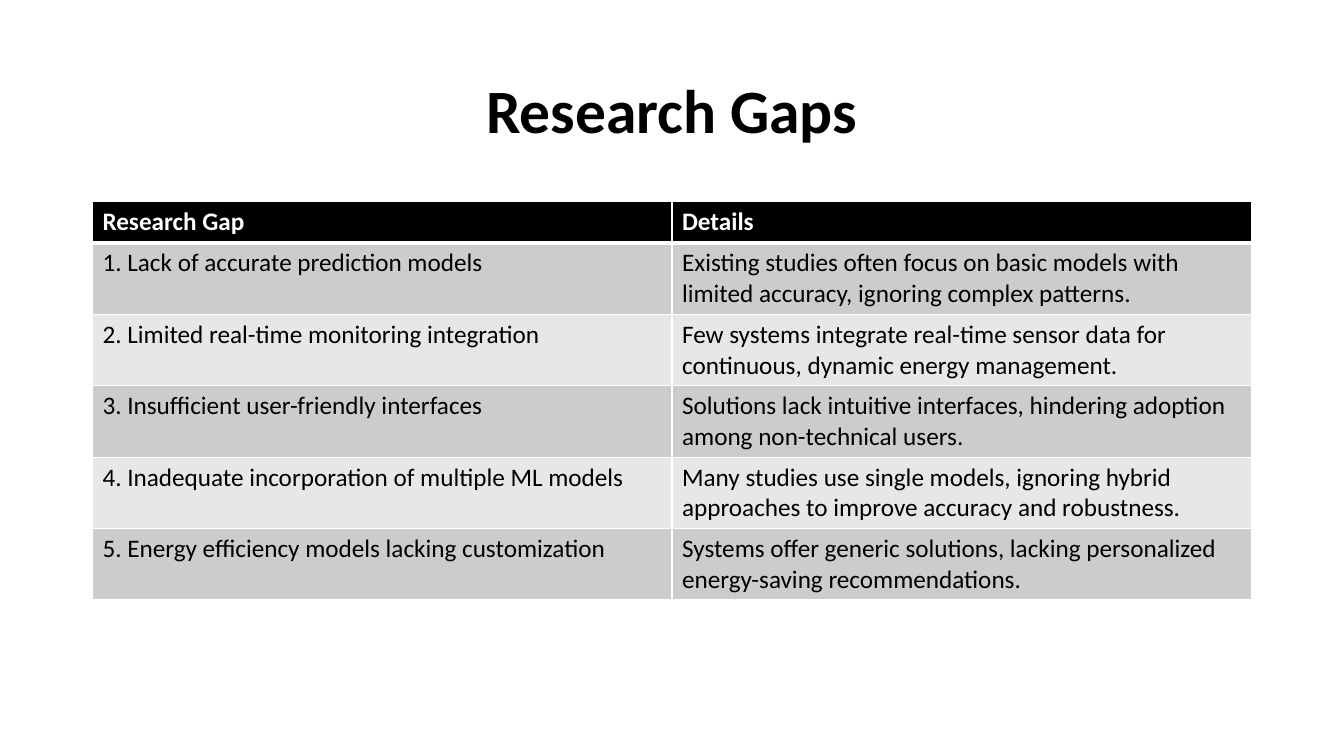
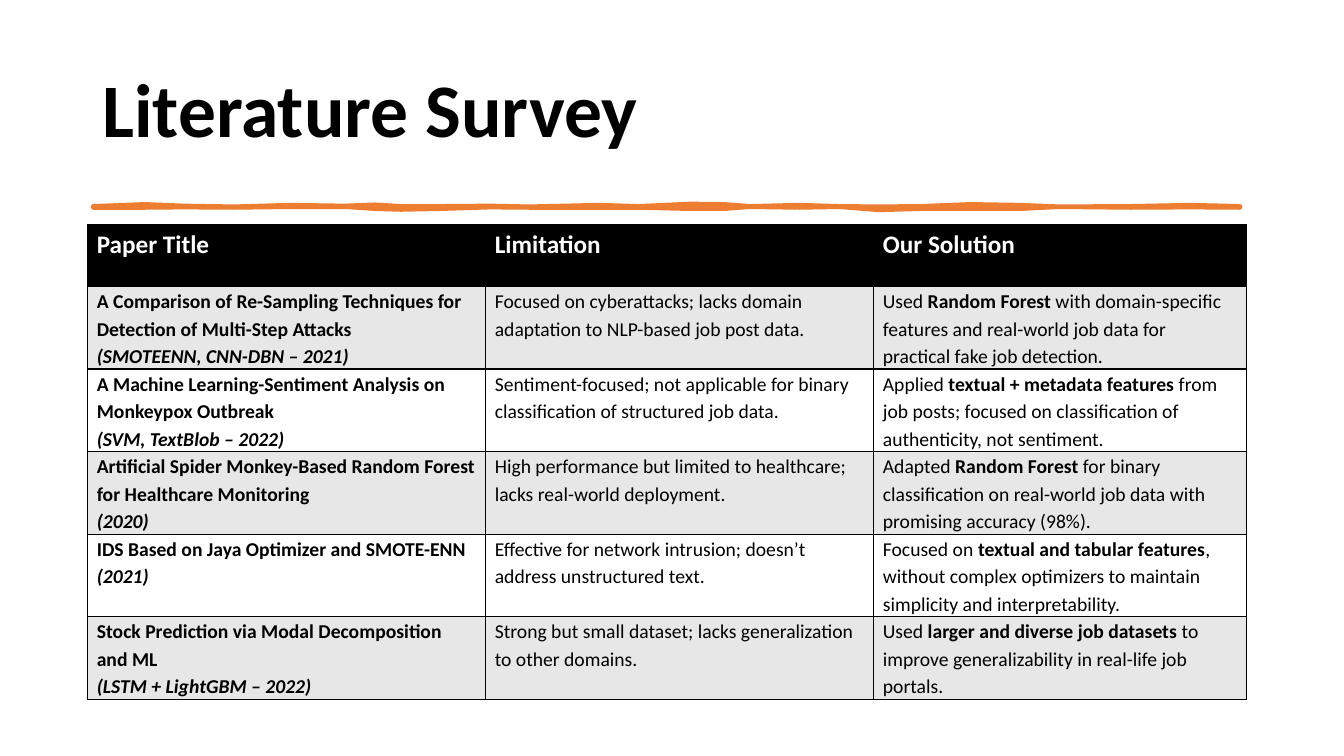
"""Build two table slides: research gaps and a literature survey."""
from lxml.etree import SubElement as Sub
from pptx import Presentation
from pptx.dml.color import RGBColor as Rgb
from pptx.enum.text import MSO_ANCHOR as Anchor, PP_ALIGN as Align
from pptx.oxml.ns import qn
from pptx.util import Cm, Pt

FONT = "Calibri"
HUES = {
    "ink": "000000",
    "paper": "FFFFFF",
    "dark": "CCCCCC",
    "light": "E7E7E7",
    "stroke": "ED7D31",
}
LEFT, WIDE = 2.33, 29.21

GAPS = [
    ("Research Gap", "Details"),
    ("1. Lack of accurate prediction models",
     "Existing studies often focus on basic models with limited accuracy, ignoring complex patterns."),
    ("2. Limited real-time monitoring integration",
     "Few systems integrate real-time sensor data for continuous, dynamic energy management."),
    ("3. Insufficient user-friendly interfaces",
     "Solutions lack intuitive interfaces, hindering adoption among non-technical users."),
    ("4. Inadequate incorporation of multiple ML models",
     "Many studies use single models, ignoring hybrid approaches to improve accuracy and robustness."),
    ("5. Energy efficiency models lacking customization",
     "Systems offer generic solutions, lacking personalized energy-saving recommendations."),
]

HEADS = ("Paper Title", "Limitation", "Our Solution")
PAPERS = [
    ("A Comparison of Re-Sampling Techniques for Detection of Multi-Step Attacks",
     "(SMOTEENN, CNN-DBN – 2021)",
     "Focused on cyberattacks; lacks domain adaptation to NLP-based job post data.",
     ("Used ", "Random Forest",
      " with domain-specific features and real-world job data for practical fake job detection.")),
    ("A Machine Learning-Sentiment Analysis on Monkeypox Outbreak",
     "(SVM, TextBlob – 2022)",
     "Sentiment-focused; not applicable for binary classification of structured job data.",
     ("Applied ", "textual + metadata features",
      " from job posts; focused on classification of authenticity, not sentiment.")),
    ("Artificial Spider Monkey-Based Random Forest for Healthcare Monitoring",
     "(2020)",
     "High performance but limited to healthcare; lacks real-world deployment.",
     ("Adapted ", "Random Forest",
      " for binary classification on real-world job data with promising accuracy (98%).")),
    ("IDS Based on Jaya Optimizer and SMOTE-ENN",
     "(2021)",
     "Effective for network intrusion; doesn’t address unstructured text.",
     ("Focused on ", "textual and tabular features",
      ", without complex optimizers to maintain simplicity and interpretability.")),
    ("Stock Prediction via Modal Decomposition and ML",
     "(LSTM + LightGBM – 2022)",
     "Strong but small dataset; lacks generalization to other domains.",
     ("Used ", "larger and diverse job datasets",
      " to improve generalizability in real-life job portals.")),
]

BRUSH_Y = 5.21
BRUSH = [
    (2.35, 0.01, 0.02), (3.65, 0.06, 0.02), (4.65, 0.02, 0.01),
    (5.9, 0, 0.02), (7.3, 0.04, 0), (8.7, 0.02, 0),
    (9.45, 0.05, 0.05), (10.1, 0.01, 0.07), (11.1, 0.01, 0.05),
    (12.35, 0.02, 0.01), (13.35, 0, 0.02), (15.1, 0.04, 0.02),
    (16.1, 0.01, 0.02), (17.4, 0.07, 0.05), (18.25, 0.06, 0.05),
    (18.9, 0.01, 0), (20.15, 0.04, 0.02), (21.15, 0.01, 0),
    (22.15, 0, 0.08), (23.2, 0.01, 0.05), (24.45, 0.06, 0.05),
    (25.7, 0.04, 0.05), (26.7, 0, 0), (28.5, 0.01, 0.02),
    (30, 0.04, 0.01), (31.25, 0.01, 0.02),
]


def hue(name):
    """Return the named colour."""
    return Rgb.from_string(HUES[name])


def style(par, size, tint, bold, space):
    """Set the font and line spacing of a paragraph."""
    font = par.font
    font.name, font.size, font.bold = FONT, Pt(size), bold
    font.color.rgb = hue(tint)
    par.line_spacing = space


def title(slide, text, size, align):
    """Add the slide title."""
    box = slide.shapes.add_textbox(Cm(LEFT), Cm(1.01), Cm(WIDE), Cm(3.68))
    frame = box.text_frame
    frame.word_wrap = True
    frame.vertical_anchor = Anchor.MIDDLE
    par = frame.paragraphs[0]
    par.text, par.alignment = text, align
    style(par, size, "ink", True, 0.9)


def edge(cell, tint, top=1, base=1):
    """Draw the four borders of a cell."""
    props = cell._tc.get_or_add_tcPr()
    for side, width in zip("LRTB", (1, 1, top, base)):
        line = Sub(props, qn(f"a:ln{side}"), w=str(Pt(width)))
        fill = Sub(line, qn("a:solidFill"))
        Sub(fill, qn("a:srgbClr"), val=HUES[tint])


def paint(cell, tint):
    """Fill a cell."""
    cell.fill.solid()
    cell.fill.fore_color.rgb = hue(tint)


def grid(slide, left, top, cols, rows):
    """Add a plain table with the given column widths and row heights."""
    table = slide.shapes.add_table(
        len(rows), len(cols), Cm(left), Cm(top), Cm(sum(cols)), Cm(sum(rows))).table
    table.first_row = table.horz_banding = False
    for col, width in zip(table.columns, cols):
        col.width = Cm(width)
    for row, height in zip(table.rows, rows):
        row.height = Cm(height)
    return table


def gaps(slide):
    """Add the table of research gaps."""
    table = grid(slide, LEFT, 5.08, [WIDE / 2] * 2, [1.04] + [1.8] * 5)
    for r, row in enumerate(GAPS):
        head = r == 0
        for c, text in enumerate(row):
            cell = table.cell(r, c)
            edge(cell, "paper", 3 if r == 1 else 1, 3 if head else 1)
            paint(cell, "ink" if head else ("light", "dark")[r % 2])
            cell.text = text
            style(cell.text_frame.paragraphs[0], 18,
                  "paper" if head else "ink", head, 1)
            if head:
                cell.vertical_anchor = Anchor.MIDDLE


def entry(cell, tint):
    """Prepare a survey cell and return its paragraph."""
    edge(cell, "ink")
    paint(cell, tint)
    cell.margin_left = cell.margin_right = Cm(0.23)
    cell.margin_top = cell.margin_bottom = 0
    return cell.text_frame.paragraphs[0]


def survey(slide):
    """Add the table of surveyed papers."""
    table = grid(slide, 2.21, 5.67, [10.03, 9.78, 9.4], [1.55] + [2.08] * 5)
    for c, text in enumerate(HEADS):
        par = entry(table.cell(0, c), "ink")
        par.text = text
        style(par, 18, "paper", True, 1.15)
    for r, (name, note, limit, parts) in enumerate(PAPERS, 1):
        tint = ("paper", "light")[r % 2]
        pars = [entry(table.cell(r, c), tint) for c in range(3)]
        for par, bold in zip(pars, (True, False, False)):
            style(par, 14, "ink", bold, 1.15)
        work, flaw, fix = pars
        work.add_run().text = name
        work.add_line_break()
        run = work.add_run()
        run.text, run.font.italic = note, True
        flaw.text = limit
        for part, bold in zip(parts, (False, True, False)):
            run = fix.add_run()
            run.text, run.font.bold = part, bold


def brush(slide):
    """Draw the uneven brush stroke below the title."""
    upper = [(Cm(x), Cm(BRUSH_Y - up)) for x, up, _ in BRUSH]
    lower = [(Cm(x), Cm(BRUSH_Y + down)) for x, _, down in BRUSH]
    path = slide.shapes.build_freeform(*upper[0])
    path.add_line_segments(upper[1:] + lower[::-1])
    shape = path.convert_to_shape()
    shape.shadow.inherit = False
    shape.fill.solid()
    shape.fill.fore_color.rgb = shape.line.color.rgb = hue("stroke")
    shape.line.width = Pt(3.25)


def main():
    """Build and save the deck."""
    deck = Presentation()
    deck.slide_width, deck.slide_height = Cm(33.87), Cm(19.05)
    blank = deck.slide_layouts[6]
    slide = deck.slides.add_slide(blank)
    title(slide, "Research Gaps", 44, Align.CENTER)
    gaps(slide)
    slide = deck.slides.add_slide(blank)
    title(slide, "Literature Survey", 54, Align.LEFT)
    brush(slide)
    survey(slide)
    deck.save("out.pptx")


if __name__ == "__main__":
    main()
